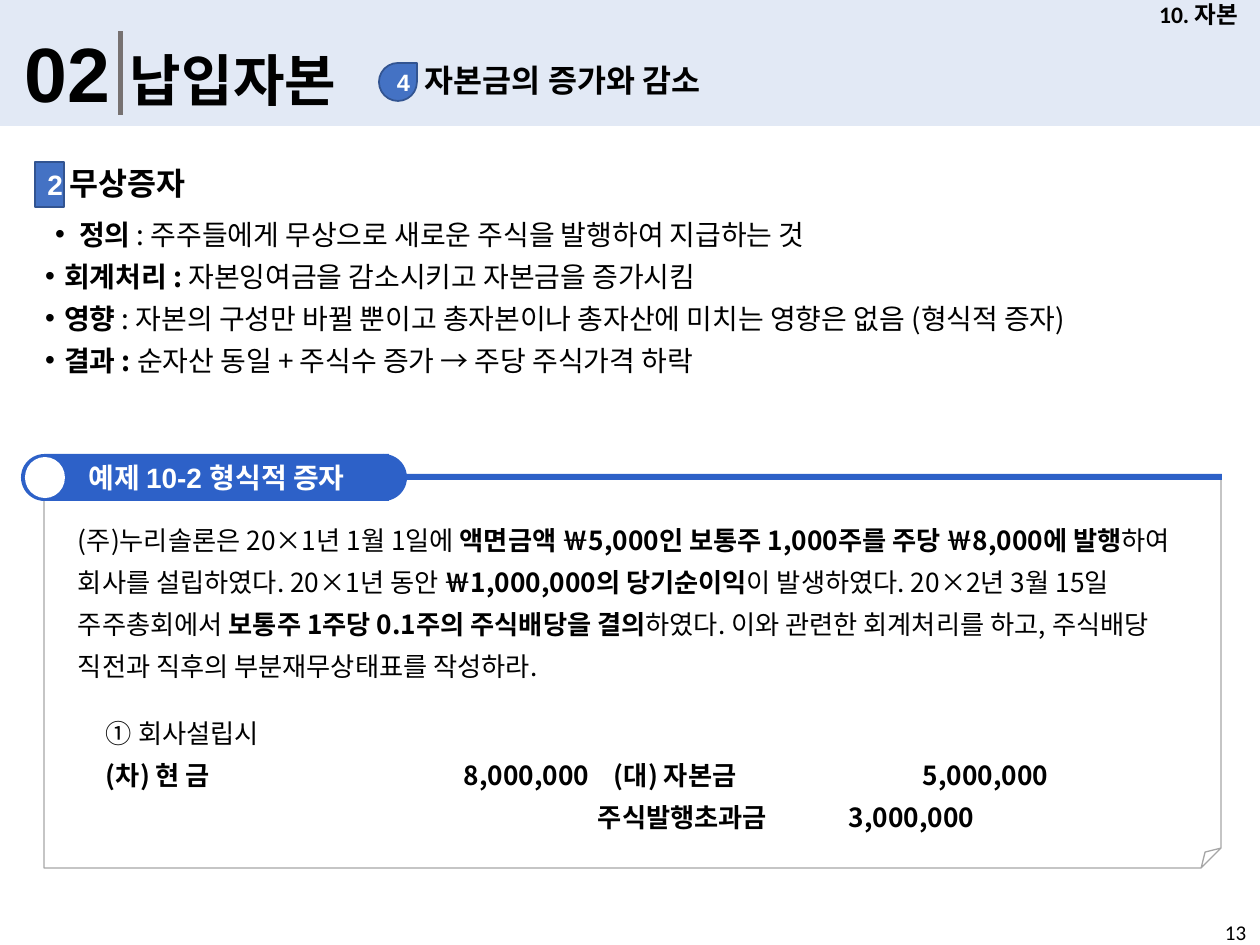
"""Build the slide on paid-in capital and bonus issues."""
from lxml import etree
from pptx import Presentation
from pptx import util as u
from pptx.dml import color as c
from pptx.enum import shapes as s, text as t
from pptx.oxml import ns

KIND = s.MSO_SHAPE
MID = t.MSO_ANCHOR.MIDDLE
HAN = "Noto Sans CJK KR"
BLUE, EDGE, ROYAL = "4472C4", "325491", "2D61C8"
BODY = {"name": HAN, "size": u.Pt(15), "bold": False}
NOTE = {**BODY, "size": u.Pt(16)}
HEAD = {"name": "Calibri", "size": u.Pt(18), "bold": True}
MARK = {"name": "Arial", "size": u.Pt(16), "bold": True}
SMALL = {**HEAD, "size": u.Pt(13.5)}


def px(n):
    """Turn pixels into EMU."""
    return round(n * 914400 / 126)


def put(item, form):
    """Set attributes from a dict of format values."""
    for key, val in form.items():
        setattr(item, key, val)


def paint(fill, tone):
    """Fill with a hex colour."""
    fill.solid()
    fill.fore_color.rgb = c.RGBColor.from_string(tone)


def add(parent, tag, **attrs):
    """Append a drawing element to a parent."""
    return etree.SubElement(parent, ns.qn(tag), attrs)


def shape(page, kind, box, tone=None, edge=None, width=1):
    """Add a preset shape."""
    item = page.shapes.add_shape(kind, *map(px, box))
    item.shadow.inherit = False
    if tone:
        paint(item.fill, tone)
    else:
        item.fill.background()
    if edge:
        paint(item.line.fill, edge)
        item.line.width = u.Pt(width)
    else:
        item.line.fill.background()
    return item


def write(para, runs, form, tone="000000"):
    """Add runs, each a text with its own format changes."""
    for words, diff in runs:
        run = para.add_run()
        run.text = words
        paint(run.font.fill, tone)
        put(run.font, {**form, **diff})
        add(run._r.get_or_add_rPr(), "a:ea", typeface=HAN)


def area(page, box, pad=(13, 6), **form):
    """Add a text box and return its frame."""
    frame = page.shapes.add_textbox(*map(px, box)).text_frame
    side, top = map(px, pad)
    put(frame, {"word_wrap": True, "margin_left": side, "margin_right": side,
                "margin_top": top, "margin_bottom": top, **form})
    return frame


def label(page, box, words, form, **more):
    """Add a text box with one line."""
    frame = area(page, box, **more)
    write(frame.paragraphs[0], [(words, {})], form)
    return frame


def centre(item, runs, form):
    """Write white centred text in a shape."""
    frame = item.text_frame
    put(frame, {"word_wrap": True, "vertical_anchor": MID})
    frame.paragraphs[0].alignment = t.PP_ALIGN.CENTER
    write(frame.paragraphs[0], runs, form, "FFFFFF")


def lines(frame, count):
    """Return the paragraphs of a frame, spaced evenly."""
    paras = [frame.paragraphs[0]] + [frame.add_paragraph() for _ in range(count - 1)]
    for para in paras:
        para.line_spacing = u.Pt(24)
    return paras


def banner(page, box):
    """Draw the title band."""
    x, y, w, h = box
    band = shape(page, KIND.RECTANGLE, box, "DAE3F3")
    tint = band._element.spPr.find(".//" + ns.qn("a:srgbClr"))
    add(tint, "a:alpha", val="76000")
    label(page, (x + 12, y + 20, 115, 106), "02", {**MARK, "size": u.Pt(44)})
    shape(page, KIND.RECTANGLE, (x + 118, y + 31, 5, 84), "767171")
    label(page, (x + 117, y + 40, 553, 81), "납입자본", {**HEAD, "size": u.Pt(32)})
    label(page, (x + 412, y + 55, 508, 50), "자본금의 증가와 감소", HEAD)
    drop = shape(page, KIND.TEAR, (x + 379, y + 63, 38, 38), BLUE, EDGE)
    centre(drop, [("4", {})], {**MARK, "size": u.Pt(13.5)})
    tag = label(page, (x + w - 123, y, 123, 29), "10. 자본", SMALL, vertical_anchor=MID)
    tag.paragraphs[0].alignment = t.PP_ALIGN.CENTER


def topic(page, box):
    """Draw the numbered heading and its bullets."""
    x, y, w, h = box
    label(page, (x + 25, y, 518, 44), "무상증자", {**HEAD, "name": HAN}, pad=(10, 5))
    plate = shape(page, KIND.RECTANGLE, (x, y + 3, 29, 45), BLUE, EDGE)
    centre(plate, [("2", {})], MARK)
    rows = [
        ("정의 ", ": 주주들에게 무상으로 새로운 주식을 발행하여 지급하는 것", 34, 24),
        ("회계처리 : ", "자본잉여금을 감소시키고 자본금을 증가시킴", 19, 19),
        ("영향 ", ": 자본의 구성만 바뀔 뿐이고 총자본이나 총자산에 미치는 영향은 없음 (형식적 증자)", 19, 19),
        ("결과 : ", "순자산 동일 + 주식수 증가 → 주당 주식가격 하락", 19, 19),
    ]
    frame = area(page, (x, y + 45, w, h - 45), (10, 5))
    for para, (term, words, left, hang) in zip(lines(frame, len(rows)), rows):
        prop = para._p.get_or_add_pPr()
        prop.set("marL", str(px(left)))
        prop.set("indent", str(-px(hang)))
        add(prop, "a:buFont", typeface="Arial")
        add(prop, "a:buChar", char="•")
        write(para, [(term, {"bold": True}), (words, {})], NOTE)


def case(page, box):
    """Draw the example frame, its tab and its text."""
    x, y, w, h = box
    sheet = shape(page, KIND.FOLDED_CORNER, (x + 23, y + 24, w - 24, h - 24),
                  edge="A6A6A6", width=0.75)
    guide = sheet._element.spPr.find(".//" + ns.qn("a:avLst"))
    add(guide, "a:gd", name="adj", fmla="val 5100")
    shape(page, KIND.RECTANGLE, (x + 25, y + 20, w - 25, 6), ROYAL)
    for left in (0, 339):
        shape(page, KIND.OVAL, (x + left, y, 47, 47), ROYAL)
    tab = shape(page, KIND.RECTANGLE, (x + 23, y, 345, 47), ROYAL)
    centre(tab, [("예제 ", {}), ("10-2 ", {"name": "Arial"}), ("형식적 증자", {})],
           {**HEAD, "size": u.Pt(16)})
    shape(page, KIND.OVAL, (x + 4, y + 3, 40, 41), "FFFFFF")
    bold = {"bold": True}
    frame = area(page, (x + 43, y + 54, w - 74, 186), (14, 6))
    write(lines(frame, 1)[0], [
        ("(주)누리솔론은 20×1년 1월 1일에 ", {}),
        ("액면금액 ￦5,000인 보통주 1,000주를 주당 ￦8,000에 발행", bold),
        ("하여 회사를 설립하였다. 20×1년 동안 ", {}),
        ("￦1,000,000의 당기순이익", bold),
        ("이 발생하였다. 20×2년 3월 15일 주주총회에서 ", {}),
        ("보통주 1주당 0.1주의 주식배당을 결의", bold),
        ("하였다. 이와 관련한 회계처리를 하고, 주식배당 직전과 직후의 부분재무상태표를 작성하라.", {}),
    ], BODY)
    entry(page, (x + 71, y + 247, 1071, 137))


def entry(page, box):
    """Write the journal entry with tab stops."""
    rows = [
        ("① 회사설립시", (), False),
        ("(차) 현 금\t8,000,000\t(대) 자본금\t5,000,000", (358, 508, 817), True),
        ("\t주식발행초과금\t3,000,000", (492, 743), True),
    ]
    frame = area(page, box, (14, 6))
    for para, (words, stops, bold) in zip(lines(frame, len(rows)), rows):
        if stops:
            tabs = add(para._p.get_or_add_pPr(), "a:tabLst")
            for stop in stops:
                add(tabs, "a:tab", pos=str(px(stop)), algn="l")
        write(para, [(words, {"bold": bold})], BODY)


def main():
    """Build and save the slide."""
    deck = Presentation()
    put(deck, {"slide_width": px(1260), "slide_height": px(945)})
    page = deck.slides.add_slide(deck.slide_layouts[6])
    banner(page, (0, 0, 1260, 126))
    topic(page, (35, 159, 1191, 306))
    case(page, (21, 454, 1201, 414))
    label(page, (1212, 914, 48, 31), "13", {**HEAD, "size": u.Pt(12), "bold": False},
          word_wrap=False)
    deck.save("out.pptx")


if __name__ == "__main__":
    main()
